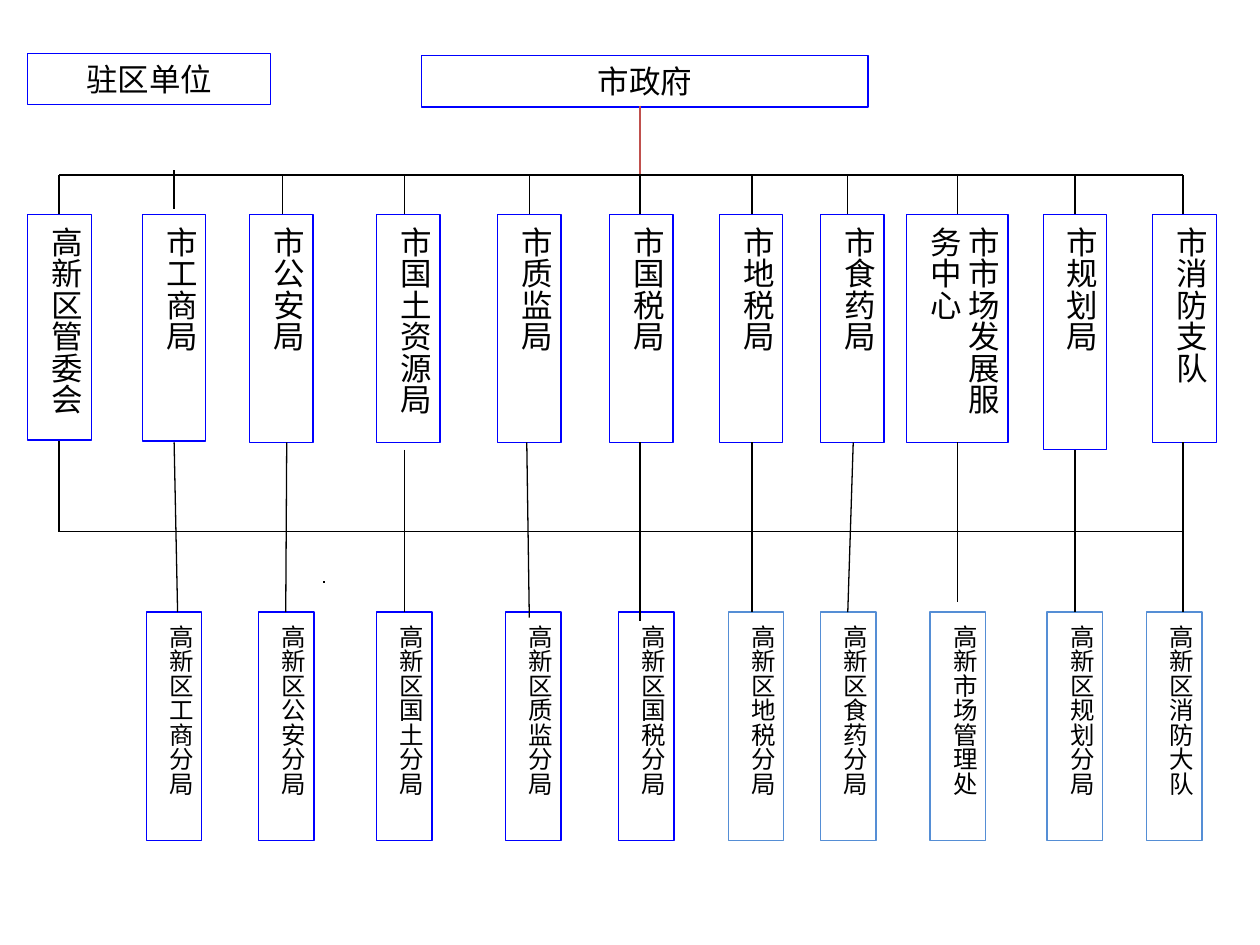
from dataclasses import dataclass
from typing import NamedTuple

from lxml import etree
from pptx import Presentation
from pptx.dml.color import RGBColor
from pptx.enum.lang import MSO_LANGUAGE_ID
from pptx.enum.shapes import MSO_CONNECTOR, MSO_SHAPE
from pptx.enum.text import MSO_ANCHOR, MSO_AUTO_SIZE, PP_ALIGN
from pptx.oxml.ns import qn
from pptx.util import Cm, Pt

RECT = MSO_SHAPE.RECTANGLE
LINE = MSO_CONNECTOR.STRAIGHT
LEFT, MID = PP_ALIGN.LEFT, PP_ALIGN.CENTER
TOP = MSO_ANCHOR.TOP
FIXED = MSO_AUTO_SIZE.NONE
CHINESE = MSO_LANGUAGE_ID.SIMPLIFIED_CHINESE


@dataclass(frozen=True)
class Theme:
    font: str = "Arial"
    large: int = 18
    small: int = 14
    rule: float = 0.75
    ink: str = "000000"
    blue: str = "0000FF"
    sky: str = "558ED5"
    red: str = "C0504D"


class Bureau(NamedTuple):
    name: str
    left: float
    stem: float  # x of the line from the upper bus
    width: float = 1.28
    height: float = 4.6
    rise: float = 3.53  # y where that line starts


class Branch(NamedTuple):
    name: str
    left: float
    color: str
    start: float  # x of the link at its top and its foot
    end: float
    top: float = 8.92
    foot: float = 12.34


THEME = Theme()
BUS, ROW, LOW_BUS, LOW_ROW = 3.53, 4.32, 10.72, 12.34
HUB = 12.9

BUREAUS = [
    Bureau("高新区管委会", 0.56, 1.19, height=4.55),
    Bureau("市工商局", 2.87, 3.51, height=4.57, rise=3.43),
    Bureau("市公安局", 5.03, 5.69),
    Bureau("市国土资源局", 7.59, 8.15),
    Bureau("市质监局", 10.03, 10.67),
    Bureau("市国税局", 12.29, HUB),
    Bureau("市地税局", 14.5, 15.16),
    Bureau("市食药局", 16.54, 17.09),
    Bureau("市市场发展服务中心", 18.27, 19.3, width=2.05),
    Bureau("市规划局", 21.03, 21.67, height=4.75),
    Bureau("市消防支队", 23.24, 23.85),
]
BRANCHES = [
    Branch("高新区工商分局", 2.95, THEME.blue, 3.51, 3.58),
    Branch("高新区公安分局", 5.21, THEME.blue, 5.78, 5.76),
    Branch("高新区国土分局", 7.59, THEME.blue, 8.15, 8.15, top=9.07),
    Branch("高新区质监分局", 10.19, THEME.blue, 10.62, 10.67, foot=12.45),
    Branch("高新区国税分局", 12.47, THEME.blue, HUB, HUB, foot=12.52),
    Branch("高新区地税分局", 14.68, THEME.sky, 15.16, 15.16),
    Branch("高新区食药分局", 16.54, THEME.sky, 17.2, 17.09),
    Branch("高新市场管理处", 18.75, THEME.sky, 19.3, 19.3, foot=12.14),
    Branch("高新区规划分局", 21.11, THEME.sky, 21.67, 21.67, top=9.07),
    Branch("高新区消防大队", 23.11, THEME.sky, 23.85, 23.85),
]

deck = Presentation()
deck.slide_width, deck.slide_height = Cm(25.4), Cm(19.05)
slide = deck.slides.add_slide(deck.slide_layouts[5])


def style(shape, text: str, size: int, color: str, tall: bool = False) -> None:
    """Outline a box and write its text, vertically when tall."""
    shape.fill.background()
    shape.line.color.rgb = RGBColor.from_string(color)
    shape.line.width = Pt(THEME.rule)
    frame = shape.text_frame
    frame.word_wrap = True
    frame.auto_size = FIXED
    frame.vertical_anchor = TOP
    if tall:
        frame._txBody.bodyPr.set("vert", "eaVert")
    para = frame.paragraphs[0]
    para.alignment = LEFT if tall else MID
    run = para.add_run()
    run.text = text
    run.font.name = THEME.font
    run.font.size = Pt(size)
    run.font.language_id = CHINESE
    run.font.color.rgb = RGBColor.from_string(THEME.ink)


def box(text: str, x: float, y: float, w: float, h: float,
        size: int, color: str, tall: bool = True) -> None:
    shape = slide.shapes.add_shape(RECT, Cm(x), Cm(y), Cm(w), Cm(h))
    shape.shadow.inherit = False
    style(shape, text, size, color, tall)


def link(x1: float, y1: float, x2: float, y2: float,
         color: str = THEME.ink) -> None:
    line = slide.shapes.add_connector(LINE, Cm(x1), Cm(y1), Cm(x2), Cm(y2))
    line.line.color.rgb = RGBColor.from_string(color)
    line.line.width = Pt(THEME.rule)
    etree.SubElement(line._element.spPr, qn("a:effectLst"))


# Title and city government
title = slide.shapes.title
title.left, title.top = Cm(0.56), Cm(1.08)
title.width, title.height = Cm(4.89), Cm(1.03)
style(title, "驻区单位", THEME.large, THEME.blue)
box("市政府", 8.5, 1.12, 9, 1.04, THEME.large, THEME.blue, tall=False)
link(HUB, 2.13, HUB, BUS, THEME.red)

# Upper and lower buses
first, last = BUREAUS[0], BUREAUS[-1]
for y in (BUS, LOW_BUS):
    link(first.stem, y, last.stem, y)
link(first.stem, ROW + first.height, first.stem, LOW_BUS)
link(6.52, 11.73, 6.55, 11.73)

# City bureaus
for unit in BUREAUS:
    box(unit.name, unit.left, ROW, unit.width, unit.height,
        THEME.large, THEME.blue)
    link(unit.stem, unit.rise, unit.stem, unit.rise + ROW - BUS)

# District branches
for unit in BRANCHES:
    box(unit.name, unit.left, LOW_ROW, 1.12, 4.6, THEME.small, unit.color)
    link(unit.start, unit.top, unit.end, unit.foot)

deck.save("out.pptx")
